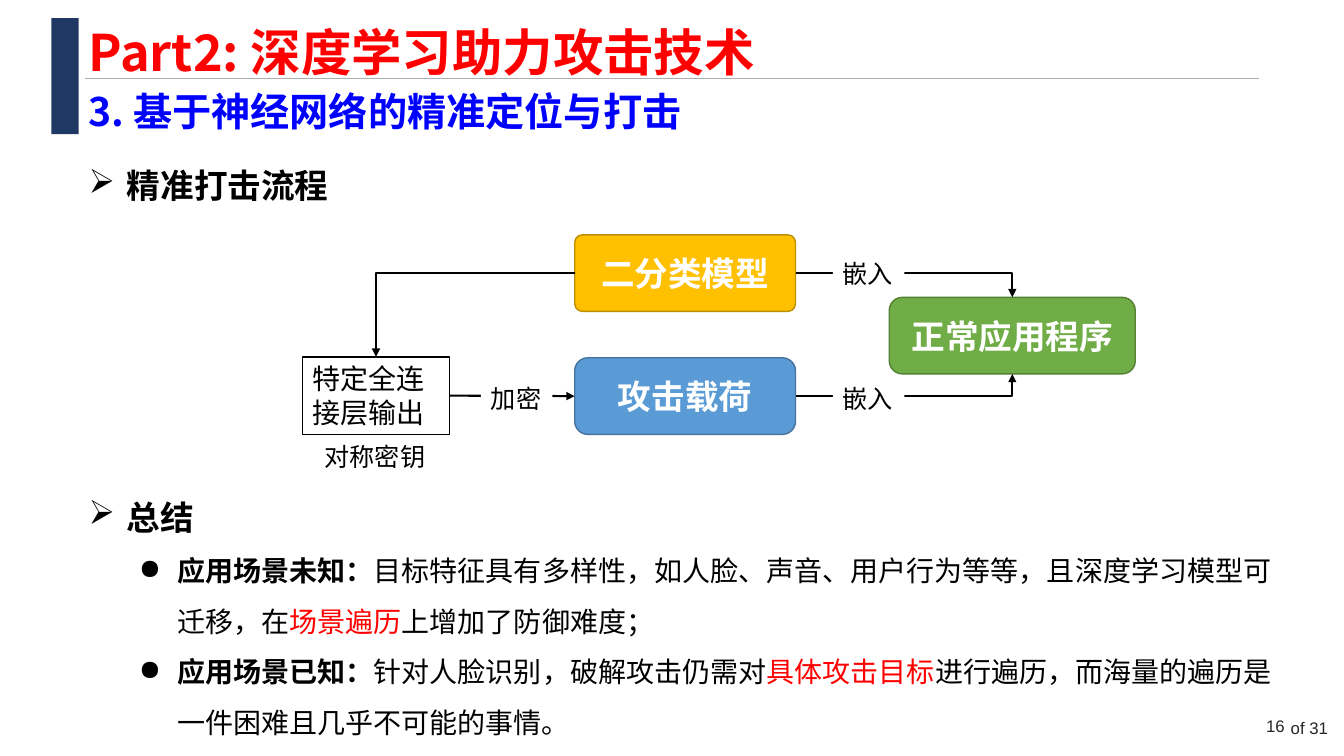
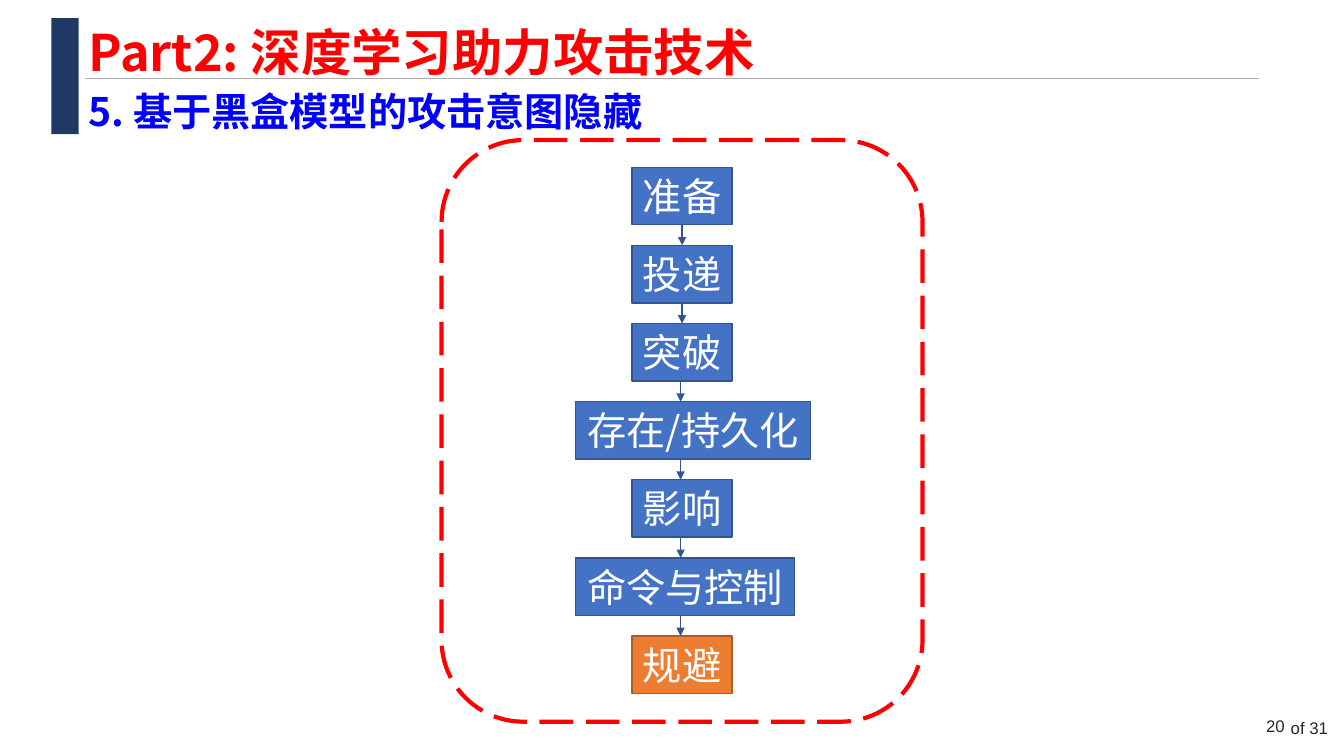
from lxml.etree import SubElement
from pptx import Presentation
from pptx.dml.color import RGBColor
from pptx.enum.dml import MSO_LINE
from pptx.enum.shapes import MSO_CONNECTOR, MSO_SHAPE
from pptx.enum.text import MSO_ANCHOR, PP_ALIGN
from pptx.oxml.ns import qn
from pptx.util import Inches, Pt

WHITE = RGBColor(0xFF, 0xFF, 0xFF)
BLACK = RGBColor(0x00, 0x00, 0x00)
RED = RGBColor(0xFF, 0x00, 0x00)
TITLE_BLUE = RGBColor(0x00, 0x00, 0xFF)
NAVY = RGBColor(0x20, 0x38, 0x64)
RULE_GRAY = RGBColor(0xAF, 0xAB, 0xAB)
FOOTER_GRAY = RGBColor(0x26, 0x26, 0x26)
YELLOW, YELLOW_EDGE = RGBColor(0xFF, 0xC0, 0x00), RGBColor(0xBD, 0x8E, 0x00)
SKY, SKY_EDGE = RGBColor(0x5B, 0x9B, 0xD5), RGBColor(0x43, 0x73, 0x9E)
GREEN, GREEN_EDGE = RGBColor(0x70, 0xAD, 0x47), RGBColor(0x53, 0x80, 0x35)
BLUE, BLUE_EDGE = RGBColor(0x44, 0x72, 0xC4), RGBColor(0x32, 0x54, 0x91)
ORANGE, ORANGE_EDGE = RGBColor(0xED, 0x7D, 0x31), RGBColor(0xAF, 0x5C, 0x24)

CJK = "Noto Sans CJK SC"
LEFT, CONTENT_WIDTH = 0.78, 11.95
PART_TITLE = "Part2: 深度学习助力攻击技术"
PAGE_TOTAL = "of 31"

PROCESS_HEADING = "精准打击流程"
SUMMARY_HEADING = "总结"
# Each point is a list of (text, bold, colour) runs.
SUMMARY_POINTS = [
    [("应用场景未知：", True, BLACK),
     ("目标特征具有多样性，如人脸、声音、用户行为等等，且深度学习模型可迁移，在", False, BLACK),
     ("场景遍历", False, RED),
     ("上增加了防御难度；", False, BLACK)],
    [("应用场景已知：", True, BLACK),
     ("针对人脸识别，破解攻击仍需对", False, BLACK),
     ("具体攻击目标", False, RED),
     ("进行遍历，而海量的遍历是一件困难且几乎不可能的事情。", False, BLACK)],
]

# Name: (text, left, top, width, fill, edge, corner share)
FLOW_NODES = {
    "model": ("二分类模型", 5.7, 2.33, 2.19, YELLOW, YELLOW_EDGE, 0.1),
    "payload": ("攻击载荷", 5.7, 3.55, 2.19, SKY, SKY_EDGE, 0.17),
    "application": ("正常应用程序", 8.82, 2.95, 2.44, GREEN, GREEN_EDGE, 0.17),
}
NODE_HEIGHT = 0.76
KEY_TEXT, KEY_CAPTION = "特定全连接层输出", "对称密钥"
# (from, side, to, side), sides: 0 top, 1 left, 2 bottom, 3 right
FLOW_LINKS = [
    ("key", 3, "payload", 1),
    ("model", 1, "key", 0),
    ("model", 3, "application", 0),
    ("payload", 3, "application", 2),
]
FLOW_LABELS = [("加密", 4.77, 3.75), ("嵌入", 8.26, 2.51), ("嵌入", 8.26, 3.75)]

# (text, left, width, fill, edge)
STEPS = [
    ("准备", 6.27, 0.99, BLUE, BLUE_EDGE),
    ("投递", 6.27, 0.99, BLUE, BLUE_EDGE),
    ("突破", 6.27, 0.99, BLUE, BLUE_EDGE),
    ("存在/持久化", 5.71, 2.33, BLUE, BLUE_EDGE),
    ("影响", 6.27, 0.99, BLUE, BLUE_EDGE),
    ("命令与控制", 5.71, 2.17, BLUE, BLUE_EDGE),
    ("规避", 6.27, 0.99, ORANGE, ORANGE_EDGE),
]
STEP_TOP, STEP_HEIGHT, STEP_PITCH, STEP_AXIS = 1.66, 0.57, 0.775, 6.75


def style_run(run, size, color, bold=False, font=CJK):
    run.font.size, run.font.bold, run.font.name = Pt(size), bold, font
    run.font.color.rgb = color
    east_asian = SubElement(run.font._element, qn("a:ea"))
    east_asian.set("typeface", CJK)


def write(shape, text, size=18, color=BLACK, bold=False, font=CJK, align=PP_ALIGN.LEFT,
          anchor=MSO_ANCHOR.TOP, wrap=True, side_inset=0.1):
    frame = shape.text_frame
    frame.word_wrap, frame.vertical_anchor = wrap, anchor
    frame.margin_left = frame.margin_right = Inches(side_inset)
    paragraph = frame.paragraphs[0]
    paragraph.alignment = align
    run = paragraph.add_run()
    run.text = text
    style_run(run, size, color, bold, font)


def add_text(slide, box, text, **text_format):
    shape = slide.shapes.add_textbox(*map(Inches, box))
    write(shape, text, **text_format)
    return shape


def add_box(slide, box, fill=None, edge=None, width=1, corner=None):
    kind = MSO_SHAPE.RECTANGLE if corner is None else MSO_SHAPE.ROUNDED_RECTANGLE
    shape = slide.shapes.add_shape(kind, *map(Inches, box))
    shape.shadow.inherit = False
    if corner is not None:
        shape.adjustments[0] = corner
    if fill is None:
        shape.fill.background()
    else:
        shape.fill.solid()
        shape.fill.fore_color.rgb = fill
    if edge is None:
        shape.line.fill.background()
    else:
        shape.line.color.rgb = edge
        shape.line.width = Pt(width)
    return shape


def add_line(slide, start, end, color, width, arrow=True, bent=False):
    """Draw a line between two points, or (shape, side) joints."""
    kind = MSO_CONNECTOR.ELBOW if bent else MSO_CONNECTOR.STRAIGHT
    joined = not isinstance(start[0], (int, float))
    points = [joint(*place) if joined else tuple(map(Inches, place))
              for place in (start, end)]
    line = slide.shapes.add_connector(kind, *points[0], *points[1])
    if joined:
        line.begin_connect(*start)
        line.end_connect(*end)
    line.line.color.rgb = color
    line.line.width = Pt(width)
    properties = line._element.spPr
    if bent:
        properties.find(qn("a:prstGeom")).set("prst", "bentConnector2")
    if arrow:
        SubElement(line.line._get_or_add_ln(), qn("a:tailEnd")).set("type", "triangle")
    SubElement(properties, qn("a:effectLst"))
    return line


def joint(shape, side):
    """Return the middle of one side of a shape."""
    across, down = [(0.5, 0), (0, 0.5), (0.5, 1), (1, 0.5)][side]
    return (int(shape.left + shape.width * across), int(shape.top + shape.height * down))


def set_bullet(paragraph, mark, indent, level=0):
    paragraph.level = level
    paragraph.line_spacing = 1.5
    properties = paragraph._element.get_or_add_pPr()
    properties.set("marL", str(Inches(indent)))
    properties.set("indent", str(Inches(-0.38)))
    SubElement(properties, qn("a:buChar")).set("char", mark)


def add_heading(slide, top, height, text):
    shape = add_text(slide, (LEFT, top, CONTENT_WIDTH, height), text, size=24, bold=True)
    set_bullet(shape.text_frame.paragraphs[0], "➢", 0.38)
    return shape


def add_base_slide(presentation, subtitle, page):
    """Add a slide with the shared band, titles, rule and page number."""
    slide = presentation.slides.add_slide(presentation.slide_layouts[6])
    add_line(slide, (0.84, 0.78), (12.49, 0.78), RULE_GRAY, 0.5, arrow=False)
    add_box(slide, (0.51, 0.18, 0.27, 1.15), NAVY)
    footer = dict(size=12, color=FOOTER_GRAY, font="Arial", anchor=MSO_ANCHOR.MIDDLE)
    add_text(slide, (12.55, 7.07, 0.72, 0.3), PAGE_TOTAL, align=PP_ALIGN.RIGHT, **footer)
    add_text(slide, (12.44, 7.05, 0.42, 0.3), page, align=PP_ALIGN.CENTER, **footer)
    title = dict(bold=True, anchor=MSO_ANCHOR.MIDDLE)
    add_text(slide, (LEFT, 0.34, 7.11, 0.33), PART_TITLE, size=36, color=RED, **title)
    add_text(slide, (LEFT, 0.86, CONTENT_WIDTH, 0.47), subtitle, size=28,
             color=TITLE_BLUE, **title)
    return slide


def build_process_slide(presentation):
    slide = add_base_slide(presentation, "3. 基于神经网络的精准定位与打击", "16")
    add_heading(slide, 1.39, 0.64, PROCESS_HEADING)

    key = add_box(slide, (3, 3.54, 1.46, 0.77), WHITE, BLACK)
    write(key, KEY_TEXT, size=20)
    nodes = {"key": key}
    for name, (text, left, top, width, fill, edge, corner) in FLOW_NODES.items():
        nodes[name] = add_box(slide, (left, top, width, NODE_HEIGHT), fill, edge, corner=corner)
        write(nodes[name], text, size=24, color=WHITE, bold=True,
              align=PP_ALIGN.CENTER, anchor=MSO_ANCHOR.MIDDLE)
    for source, source_side, target, target_side in FLOW_LINKS:
        add_line(slide, (nodes[source], source_side), (nodes[target], target_side),
                 BLACK, 1.5, bent=target_side in (0, 2))
    for text, left, top in FLOW_LABELS:
        label = add_box(slide, (left, top, 0.71, 0.4), WHITE)
        write(label, text, font="Calibri", wrap=False)
    add_text(slide, (3.12, 4.33, 1.21, 0.4), KEY_CAPTION, font="Calibri", wrap=False)

    summary = add_heading(slide, 4.68, 2.67, SUMMARY_HEADING)
    for point in SUMMARY_POINTS:
        paragraph = summary.text_frame.add_paragraph()
        set_bullet(paragraph, "●", 0.88, level=1)
        for text, bold, color in point:
            run = paragraph.add_run()
            run.text = text
            style_run(run, 20, color, bold)


def build_steps_slide(presentation):
    slide = add_base_slide(presentation, "5. 基于黑盒模型的攻击意图隐藏", "20")
    boxes = []
    for index, (text, left, width, fill, edge) in enumerate(STEPS):
        top = STEP_TOP + index * STEP_PITCH
        box = add_box(slide, (left, top, width, STEP_HEIGHT), fill, edge)
        write(box, text, size=28, color=WHITE, align=PP_ALIGN.CENTER, wrap=False, side_inset=0)
        boxes.append(box)
    for index, (upper, lower) in enumerate(zip(boxes, boxes[1:])):
        if upper.left == lower.left:
            start, end = (upper, 2), (lower, 0)
        else:
            gap_end = STEP_TOP + (index + 1) * STEP_PITCH
            start = (STEP_AXIS, gap_end - STEP_PITCH + STEP_HEIGHT)
            end = (STEP_AXIS, gap_end)
        add_line(slide, start, end, BLUE_EDGE, 1)
    frame = add_box(slide, (4.38, 1.39, 4.77, 5.77), edge=RED, width=3, corner=0.17)
    frame.line.dash_style = MSO_LINE.LONG_DASH


def main():
    presentation = Presentation()
    presentation.slide_width, presentation.slide_height = Inches(13.33), Inches(7.5)
    build_process_slide(presentation)
    build_steps_slide(presentation)
    presentation.save("out.pptx")


if __name__ == "__main__":
    main()
